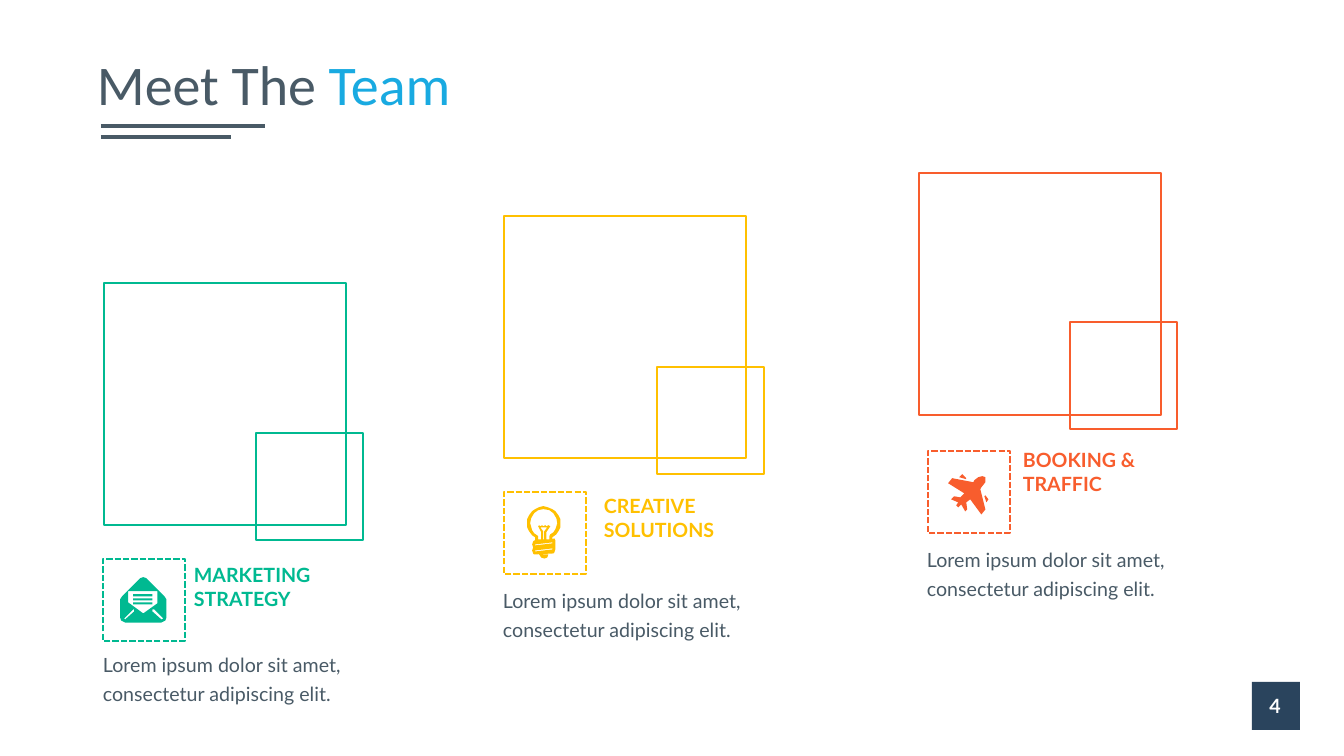
from dataclasses import dataclass

from pptx import Presentation
from pptx.dml.color import RGBColor
from pptx.enum.dml import MSO_LINE
from pptx.enum.shapes import MSO_CONNECTOR, MSO_SHAPE
from pptx.enum.text import MSO_ANCHOR, MSO_AUTO_SIZE, PP_ALIGN
from pptx.oxml.ns import qn
from pptx.util import Emu, Pt

DASHED = MSO_LINE.SQUARE_DOT
STRAIGHT = MSO_CONNECTOR.STRAIGHT
RECTANGLE = MSO_SHAPE.RECTANGLE
MIDDLE = MSO_ANCHOR.MIDDLE
NO_FIT, GROW = MSO_AUTO_SIZE.NONE, MSO_AUTO_SIZE.SHAPE_TO_FIT_TEXT
LEFT, CENTER = PP_ALIGN.LEFT, PP_ALIGN.CENTER

PX = 914400 / 100.8
ICON_UNIT = 9144  # icon grid: hundredths of an inch from the frame's corner
PHOTO, INSET, FRAME = 242, 107, 82

SLATE, SKY, NAVY, WHITE = "495A66", "19AAE1", "2A445D", "FFFFFF"
GREEN, YELLOW, ORANGE = "00B991", "FFC000", "F85D2D"
BIO = "Lorem ipsum dolor sit amet, consectetur adipiscing elit."


def px(length):
    return Emu(round(length * PX))


def rgb(value):
    return RGBColor.from_string(value)


def bar(left, top, right, bottom):
    return [(left, top), (right, top), (right, bottom), (left, bottom)]


ENVELOPE = [
    [(61, 37), (63, 40), (63, 58), (62, 61), (58, 63), (22, 63), (18, 61),
     (17, 58), (17, 40), (19, 37), (37, 19), (40, 18), (43, 19)],
    [(25, 32), (25, 43), (40, 54), (54, 44), (54, 32)],
    *[bar(30, top, 49, top + 2) for top in (35, 39, 43)],
    [(22, 60), (31, 52), (31, 50), (30, 50), (21, 59)],
    [(58, 60), (49, 52), (49, 50), (51, 50), (60, 59)],
]
BULB = [
    [(39, 14), (43, 15), (48, 17), (51, 19), (54, 23), (56, 27), (56, 31),
     (56, 35), (54, 39), (52, 42), (48, 45), (48, 47), (50, 46), (51, 48),
     (51, 57), (50, 60), (49, 61), (30, 62), (29, 61), (28, 58), (29, 55),
     (28, 52), (29, 49), (30, 48), (31, 48), (31, 45), (28, 43), (25, 39),
     (23, 35), (23, 31), (23, 27), (25, 23), (28, 19), (31, 17), (35, 15)],
    [(36, 34), (38, 33), (39, 34), (41, 33), (42, 34), (44, 33), (46, 34),
     (42, 40), (42, 47), (45, 47), (45, 44), (46, 42), (49, 40), (51, 37),
     (53, 31), (52, 26), (49, 21), (45, 18), (39, 17), (34, 18), (30, 21),
     (27, 26), (26, 31), (28, 38), (30, 41), (33, 43), (34, 44), (34, 47),
     (37, 47), (37, 40), (34, 34), (35, 33)],
    [(43, 35), (36, 35), (39, 39), (39, 47), (40, 47), (40, 39)],
    [(44, 62), (35, 62), (37, 65), (40, 66), (43, 65)],
    *[[(48, top), (31, top + 2), (31, top + 3), (48, top + 1)]
      for top in (50, 56)],
]
PLANE = [
    [(57, 26), (57, 31), (53, 36), (52, 38), (57, 58), (53, 63), (42, 48),
     (38, 51), (39, 58), (37, 60), (33, 53), (30, 56), (28, 54), (30, 51),
     (23, 48), (26, 45), (32, 46), (36, 42), (20, 32), (24, 27), (45, 31),
     (46, 29), (50, 26), (54, 25)],
    [(60, 48), (57, 44), (56, 45), (58, 51)],
    [(34, 23), (31, 26), (38, 28), (38, 27)],
]


@dataclass
class TeamSlide:
    """The slide being drawn, with its text font and outline weight."""
    slide: object
    font: str = "Lato"
    size: int = 14
    outline: float = 1.5

    def title(self, left, top, width, height, parts):
        heading = self.slide.shapes.title
        heading.left, heading.top = px(left), px(top)
        heading.width, heading.height = px(width), px(height)
        frame = heading.text_frame
        frame.auto_size, frame.vertical_anchor = NO_FIT, MIDDLE
        frame.margin_left = frame.margin_right = px(4)
        paragraph = frame.paragraphs[0]
        paragraph.alignment, paragraph.line_spacing = LEFT, 0.9
        paragraph.font.name, paragraph.font.size = "Calibri", Pt(40)
        for words, color in parts:
            run = paragraph.add_run()
            run.text = words
            run.font.color.rgb = rgb(color)

    def rule(self, left, y, right):
        line = self.slide.shapes.add_connector(
            STRAIGHT, px(left), px(y), px(right), px(y))
        line.line.color.rgb, line.line.width = rgb(SLATE), Pt(2.25)
        properties = line._element.spPr
        properties.append(properties.makeelement(qn("a:effectLst"), {}))

    def square(self, left, top, side, line=None, fill=None, dash=None):
        box = self.slide.shapes.add_shape(
            RECTANGLE, px(left), px(top), px(side), px(side))
        box.shadow.inherit = False
        if fill:
            box.fill.solid()
            box.fill.fore_color.rgb = rgb(fill)
        else:
            box.fill.background()
        if line:
            box.line.color.rgb, box.line.width = rgb(line), Pt(self.outline)
            box.line.dash_style = dash
        else:
            box.line.fill.background()

    def icon(self, left, top, contours, color):
        (first, *rest), *others = contours
        builder = self.slide.shapes.build_freeform(*first, scale=ICON_UNIT)
        builder.add_line_segments(rest, close=True)
        for start, *points in others:
            builder.move_to(*start)
            builder.add_line_segments(points, close=True)
        symbol = builder.convert_to_shape(px(left), px(top))
        symbol.shadow.inherit = False
        symbol.fill.solid()
        symbol.fill.fore_color.rgb = rgb(color)
        symbol.line.fill.background()

    def text(self, left, top, width, height, words, color, bold=False,
             spacing=None, align=LEFT, anchor=None, fit=GROW):
        frame = self.slide.shapes.add_textbox(
            px(left), px(top), px(width), px(height)).text_frame
        frame.word_wrap, frame.auto_size = True, fit
        frame.vertical_anchor = anchor
        paragraph = frame.paragraphs[0]
        paragraph.text = words
        paragraph.alignment, paragraph.line_spacing = align, spacing
        font = paragraph.font
        font.name, font.size, font.bold = self.font, Pt(self.size), bold
        font.color.rgb = rgb(color)

    def member(self, role, color, contours, photo, inset, frame, label, bio):
        """Draw one team member; the last five arguments are corners."""
        self.square(*photo, PHOTO, line=color)
        self.square(*inset, INSET, line=color)
        self.square(*frame, FRAME, line=color, dash=DASHED)
        self.icon(*frame, contours, color)
        self.text(*label, 180, 57, role, color, bold=True)
        self.text(*bio, 261, 70, BIO, SLATE, spacing=1.25)


MEMBERS = [
    ("MARKETING STRATEGY", GREEN, ENVELOPE,
     (104, 283), (256, 433), (103, 559), (184, 558), (93, 642)),
    ("CREATIVE SOLUTIONS", YELLOW, BULB,
     (504, 216), (657, 367), (504, 492), (594, 489), (493, 578)),
    ("BOOKING & TRAFFIC", ORANGE, PLANE,
     (919, 173), (1070, 322), (928, 451), (1013, 443), (917, 537)),
]


def main():
    deck = Presentation()
    deck.slide_width, deck.slide_height = px(1344), px(756)
    team = TeamSlide(deck.slides.add_slide(deck.slide_layouts[5]))
    team.title(93, 48, 1159, 79, [("Meet The ", SLATE), ("Team", SKY)])
    team.rule(101, 126, 265)
    team.rule(101, 137, 231)
    for member in MEMBERS:
        team.member(*member)
    team.square(1252, 682, 48, fill=NAVY)
    team.text(1248, 686, 54, 40, "4", WHITE, bold=True, align=CENTER,
              anchor=MIDDLE, fit=NO_FIT)
    deck.save("out.pptx")


if __name__ == "__main__":
    main()
